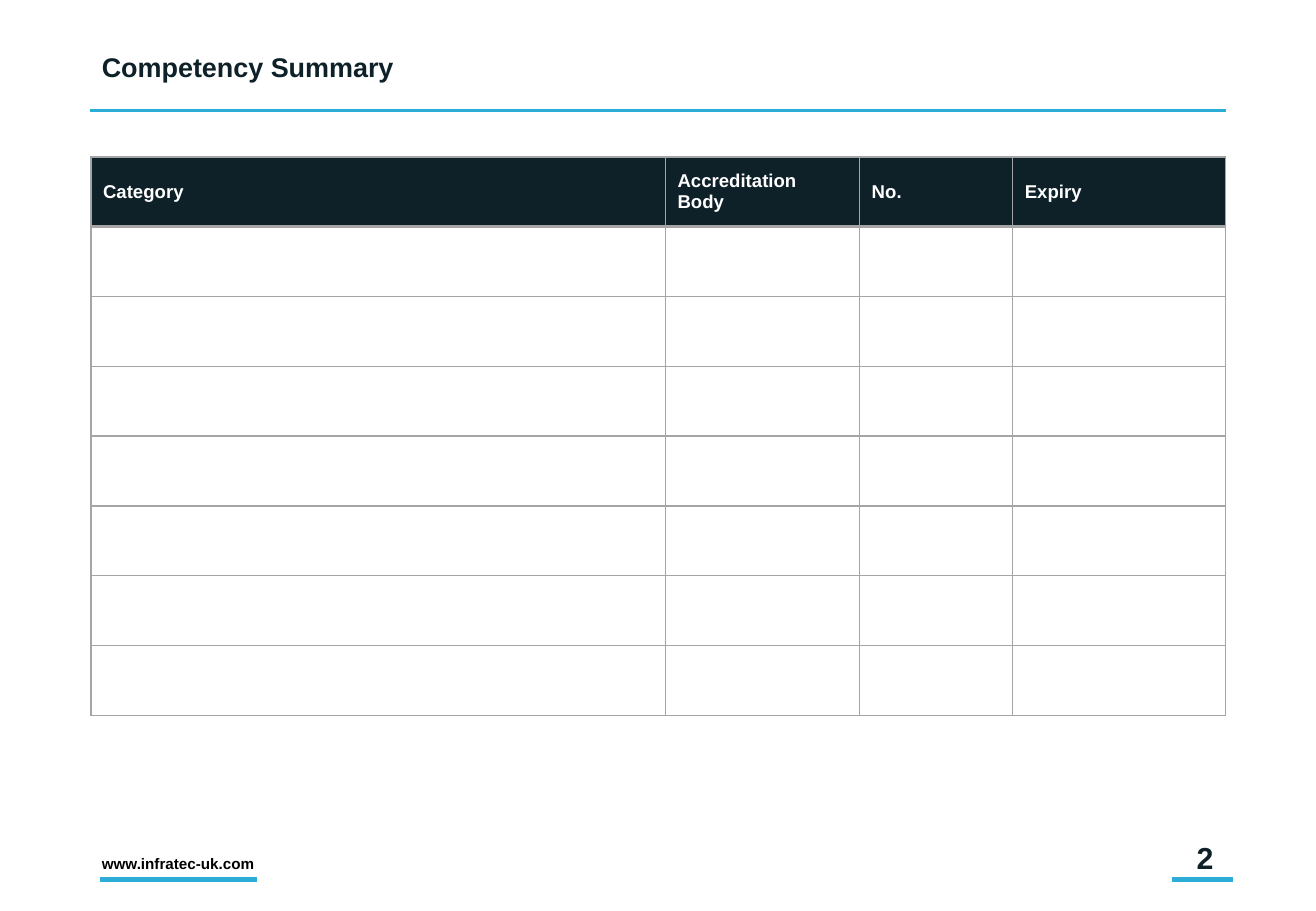
from lxml.etree import SubElement
from pptx import Presentation
from pptx.dml.color import RGBColor
from pptx.enum.shapes import MSO_CONNECTOR
from pptx.enum.text import MSO_ANCHOR, PP_ALIGN
from pptx.oxml import parse_xml
from pptx.oxml.ns import nsdecls, qn
from pptx.util import Cm, Pt

NAVY, BLUE, GREY, WHITE, BLACK = "0E2129", "2BADD8", "A5A5A5", "FFFFFF", "000000"
HEADINGS = ["Category", "Accreditation Body", "No.", "Expiry"]
COLUMN_WIDTHS = [12.01, 4.06, 3.2, 4.45]
ROW_COUNT, ROW_HEIGHT = 8, 1.46


def color(value):
    return RGBColor.from_string(value)


def set_font(para, size, value):
    para.font.name = "Arial"
    para.font.size = Pt(size)
    para.font.bold = True
    para.font.color.rgb = color(value)


def add_text(page, box, text, size, value, align=PP_ALIGN.LEFT, anchor=MSO_ANCHOR.TOP, wrap=True):
    frame = page.shapes.add_textbox(*map(Cm, box)).text_frame
    frame.word_wrap = wrap
    frame.vertical_anchor = anchor
    para = frame.paragraphs[0]
    para.text = text
    para.alignment = align
    set_font(para, size, value)
    return para


def add_rule(page, left, top, width, weight):
    rule = page.shapes.add_connector(
        MSO_CONNECTOR.STRAIGHT, Cm(left), Cm(top), Cm(left + width), Cm(top))
    rule.line.color.rgb = color(BLUE)
    rule.line.width = Pt(weight)
    SubElement(rule._element.spPr, qn("a:effectLst"))


def set_borders(cell, weights):
    properties = cell._tc.get_or_add_tcPr()
    for position, (side, weight) in enumerate(weights.items()):
        properties.insert(position, parse_xml(
            f'<a:ln{side} {nsdecls("a")} w="{Pt(weight)}"><a:solidFill>'
            f'<a:srgbClr val="{GREY}"/></a:solidFill></a:ln{side}>'))


def add_header(page, left, top, width, height):
    para = add_text(page, (left, top, width, height), "Competency Summary", 16, NAVY)
    para.line_spacing = 0.9
    add_rule(page, left, top + height + 0.05, width, 1.75)


def add_competency_table(page, left, top):
    frame = page.shapes.add_table(
        ROW_COUNT, len(HEADINGS), Cm(left), Cm(top),
        Cm(sum(COLUMN_WIDTHS)), Cm(ROW_COUNT * ROW_HEIGHT))
    table = frame.table
    table.horz_banding = False
    for column, width in zip(table.columns, COLUMN_WIDTHS):
        column.width = Cm(width)

    # Empty grid below the heading row
    for index, row in enumerate(table.rows):
        row.height = Cm(ROW_HEIGHT)
        for cell in row.cells:
            cell.fill.background()
            set_borders(cell, {"L": 1, "R": 1, "T": 2 if index == 1 else 1,
                               "B": 2 if index == 0 else 1})

    # Heading row
    for cell, heading in zip(table.rows[0].cells, HEADINGS):
        cell.fill.solid()
        cell.fill.fore_color.rgb = color(NAVY)
        cell.vertical_anchor = MSO_ANCHOR.MIDDLE
        cell.text = heading
        set_font(cell.text_frame.paragraphs[0], 11, WHITE)


def add_footer(page, left, top, width, height):
    right, bottom = left + width, top + height
    # Web address
    add_text(page, (left, bottom - 0.7, 3.89, 0.64), "www.infratec-uk.com", 9, BLACK, wrap=False)
    add_rule(page, left + 0.2, bottom - 0.04, 3.3, 3)
    # Page number
    add_text(page, (right - 6.2, top, 6.2, height - 0.01), "2", 18, NAVY,
             PP_ALIGN.RIGHT, MSO_ANCHOR.MIDDLE)
    add_rule(page, right - 1.11, bottom - 0.04, 1.27, 3)


def main():
    deck = Presentation()
    deck.slide_width, deck.slide_height = Cm(27.51), Cm(19.05)
    page = deck.slides.add_slide(deck.slide_layouts[6])
    add_header(page, 1.88, 1.02, 23.74, 1.24)
    add_competency_table(page, 1.9, 3.28)
    add_footer(page, 1.88, 17.42, 23.74, 1.02)
    deck.save("out.pptx")


if __name__ == "__main__":
    main()
